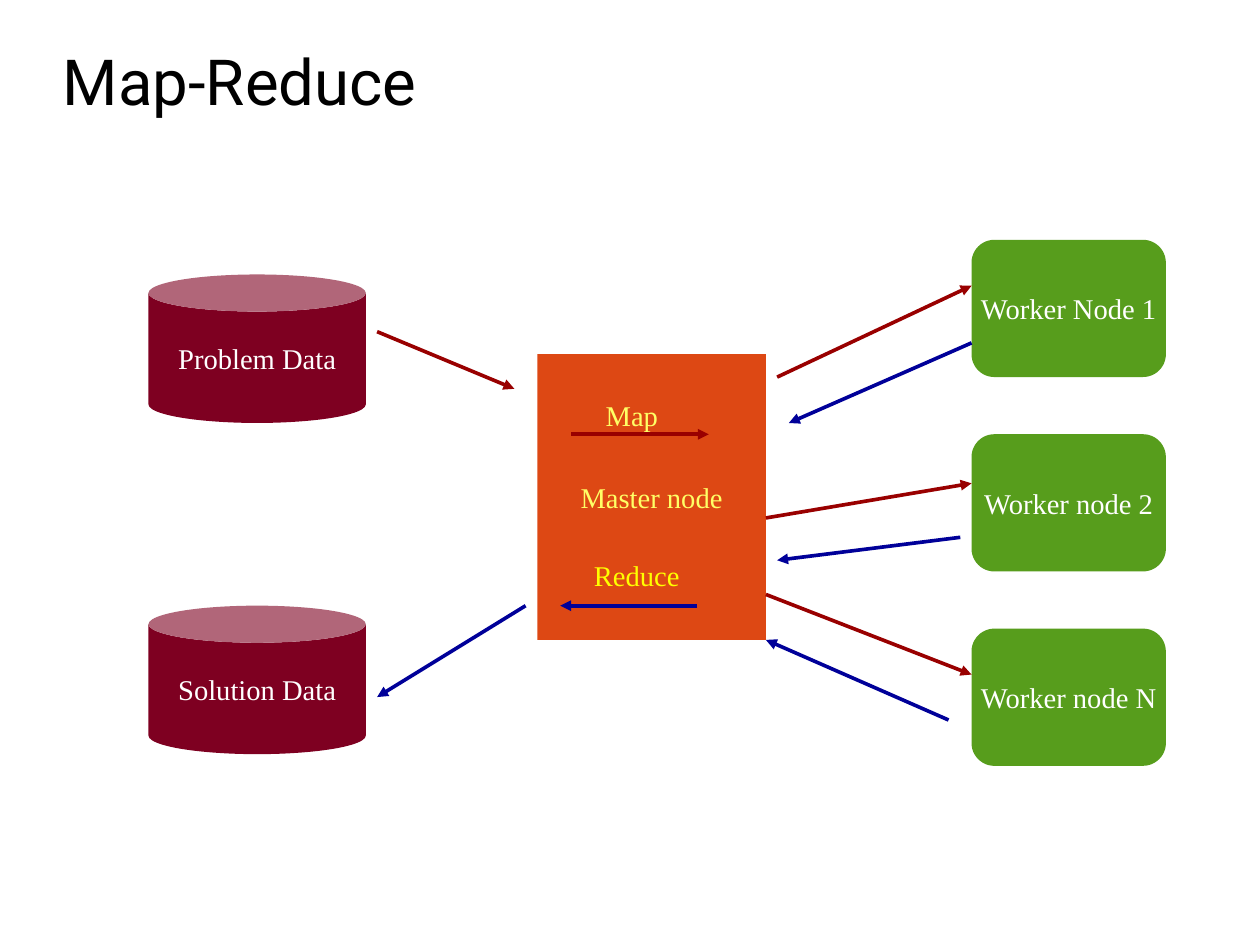
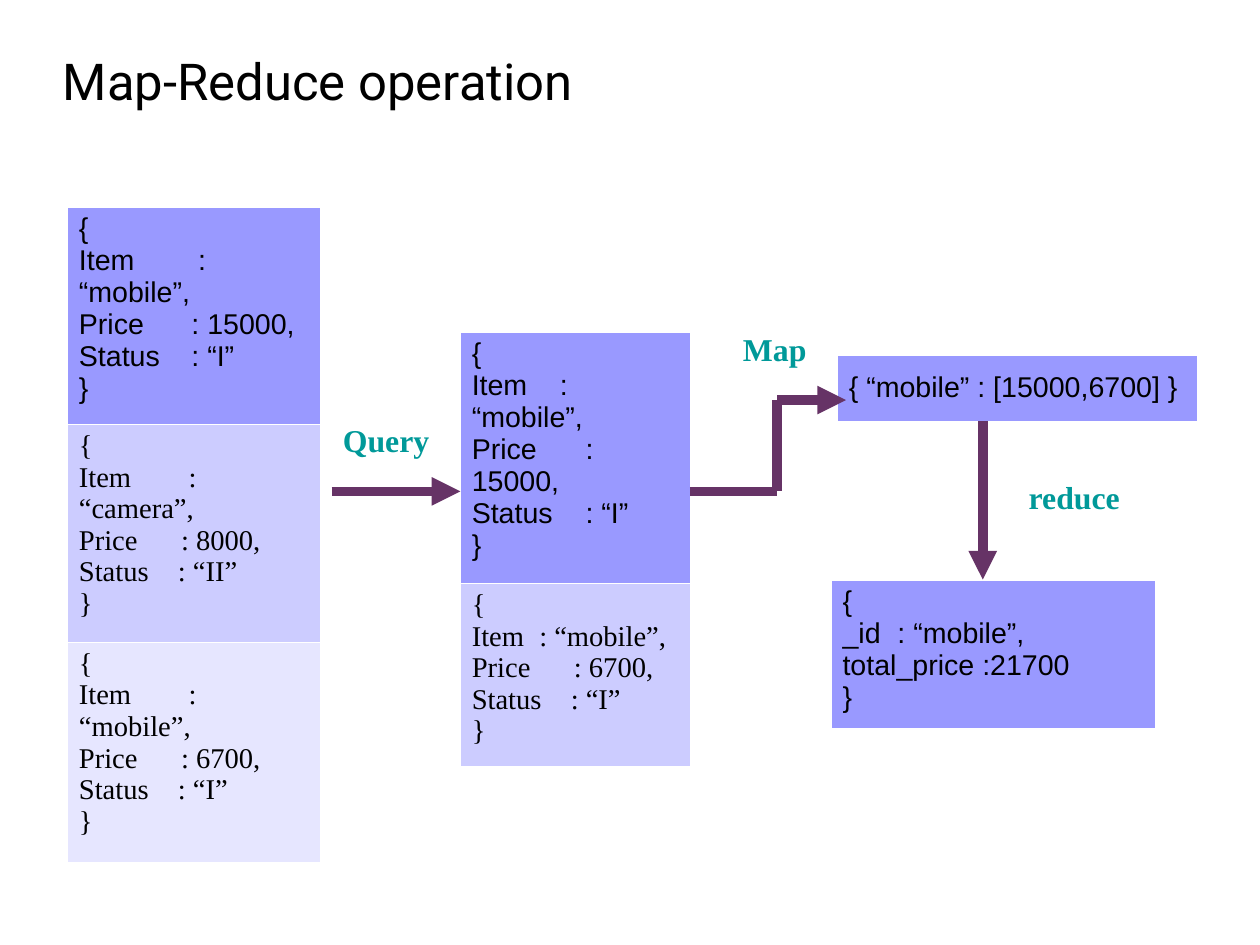
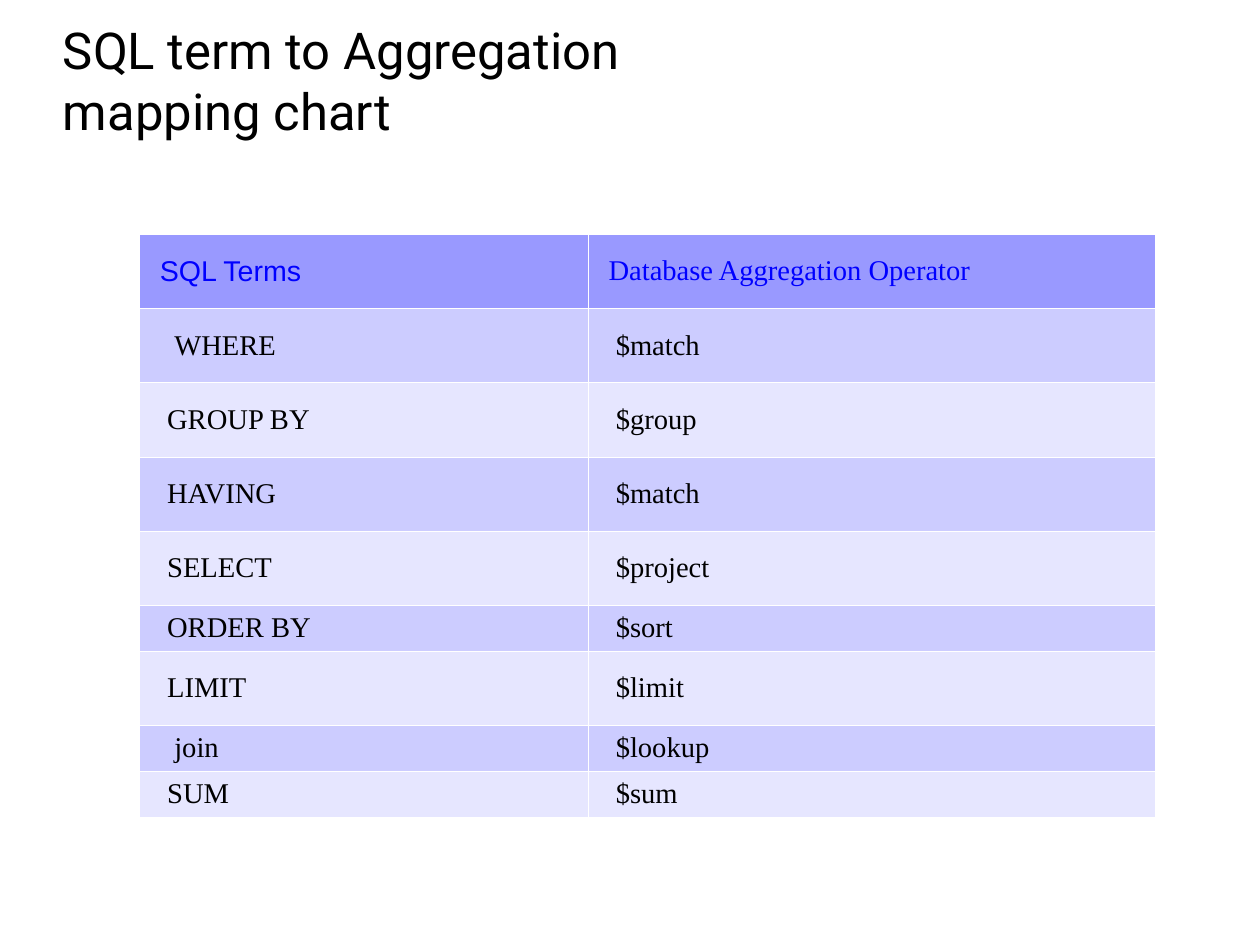
from lxml import etree
from pptx import Presentation
from pptx.dml.color import RGBColor
from pptx.enum import shapes, text
from pptx.oxml import ns
from pptx.util import Cm, Pt

BLACK = RGBColor(0x00, 0x00, 0x00)
WHITE = RGBColor(0xFF, 0xFF, 0xFF)
MAROON = RGBColor(0x7E, 0x00, 0x21)
ORANGE = RGBColor(0xDD, 0x48, 0x14)
GREEN = RGBColor(0x57, 0x9D, 0x1C)
PALE_YELLOW = RGBColor(0xFF, 0xFF, 0x66)
YELLOW = RGBColor(0xFF, 0xFF, 0x00)
RED = RGBColor(0x99, 0x00, 0x00)
NAVY = RGBColor(0x00, 0x00, 0x99)
PURPLE = RGBColor(0x66, 0x33, 0x66)
TEAL = RGBColor(0x00, 0x99, 0x99)
BLUE = RGBColor(0x00, 0x00, 0xFF)
HEADER = RGBColor(0x99, 0x99, 0xFF)
BAND_DARK = RGBColor(0xCC, 0xCC, 0xFF)
BAND_LIGHT = RGBColor(0xE6, 0xE6, 0xFF)

SANS, SERIF, TITLE_FONT = "Arial", "Times New Roman", "Roboto"
MIDDLE = text.MSO_ANCHOR.MIDDLE


def sub(parent, tag, **attrs):
    return etree.SubElement(parent, ns.qn(tag), attrs)


class Deck:
    """Holds the shared style and the slide being filled."""

    def __init__(self):
        self.prs = Presentation()
        self.prs.slide_width, self.prs.slide_height = Cm(28), Cm(21)
        self.s = None

    def new_slide(self, *title_lines, size=32):
        self.s = self.prs.slides.add_slide(self.prs.slide_layouts[6])
        tf = self.text_box(1.4, 0.03, 25.2, 3.5)
        tf.margin_left = tf.margin_right = tf.margin_top = tf.margin_bottom = 0
        tf.vertical_anchor = MIDDLE
        p = tf.paragraphs[0]
        for i, line in enumerate(title_lines):
            if i:
                p.add_line_break()
            self.run(p, line, size, TITLE_FONT, BLACK)

    def run(self, p, words, size, font, color, bold=False):
        r = p.add_run()
        r.text = words
        r.font.size, r.font.name, r.font.bold = Pt(size), font, bold
        r.font.color.rgb = color

    def text_box(self, x, y, w, h):
        tf = self.s.shapes.add_textbox(Cm(x), Cm(y), Cm(w), Cm(h)).text_frame
        tf.word_wrap = True
        return tf

    def label(self, words, x, y, w, color, size=18, bold=False):
        p = self.text_box(x, y, w, 1).paragraphs[0]
        self.run(p, words, size, SERIF, color, bold)

    def node(self, kind, words, x, y, w, h, fill, color=WHITE):
        sp = self.s.shapes.add_shape(kind, Cm(x), Cm(y), Cm(w), Cm(h))
        sp.shadow.inherit = False
        sp.fill.solid()
        sp.fill.fore_color.rgb = fill
        sp.line.fill.background()
        tf = sp.text_frame
        tf.word_wrap, tf.vertical_anchor = False, MIDDLE
        p = tf.paragraphs[0]
        p.alignment = text.PP_ALIGN.CENTER
        self.run(p, words, 18, SERIF, color)

    def line(self, start, end, color, width, arrow=True):
        c = self.s.shapes.add_connector(
            shapes.MSO_CONNECTOR.STRAIGHT, *map(Cm, start + end))
        c.line.color.rgb, c.line.width = color, Pt(width)
        if arrow:
            sub(c.line._get_or_add_ln(), "a:tailEnd", type="triangle")
        sub(c._element.spPr, "a:effectLst")

    def table(self, x, y, widths, heights):
        """Add an unbanded table with hairline white borders."""
        frame = self.s.shapes.add_table(
            len(heights), len(widths), Cm(x), Cm(y),
            Cm(sum(widths)), Cm(sum(heights)))
        tbl = frame.table
        tbl.first_row = tbl.horz_banding = False
        for col, width in zip(tbl.columns, widths):
            col.width = Cm(width)
        for row, height in zip(tbl.rows, heights):
            row.height = Cm(height)
        for cell in tbl.iter_cells():
            tc_pr = cell._tc.get_or_add_tcPr()
            for side in "LRTB":
                ln = sub(tc_pr, f"a:ln{side}", w="762")
                sub(sub(ln, "a:solidFill"), "a:srgbClr", val=str(WHITE))
        return tbl

    def fill_cell(self, cell, fill):
        cell.fill.solid()
        cell.fill.fore_color.rgb = fill
        return cell.text_frame

    def documents(self, x, y, width, heights, records, anchor=None):
        """Stack records in one column; a line is text or (key, tab in cm, value)."""
        tbl = self.table(x, y, [width], heights)
        fills = (HEADER, BAND_DARK, BAND_LIGHT)
        for i, (lines, fill) in enumerate(zip(records, fills)):
            cell = tbl.cell(i, 0)
            cell.vertical_anchor = anchor
            tf = self.fill_cell(cell, fill)
            for j, line in enumerate(lines):
                p = tf.add_paragraph() if j else tf.paragraphs[0]
                if isinstance(line, tuple):
                    key, stop, value = line
                    tabs = sub(p._p.get_or_add_pPr(), "a:tabLst")
                    sub(tabs, "a:tab", pos=str(int(Cm(stop))), algn="l")
                    line = f"{key}\t: {value}"
                self.run(p, line, 18, SERIF if i else SANS, BLACK)


def item(name, price, status, stops):
    values = (f"“{name}”,", f"{price},", f"“{status}”")
    return ["{", *zip(("Item", "Price", "Status"), stops, values), "}"]


def map_reduce(d):
    d.new_slide("Map-Reduce", size=40)
    kinds = shapes.MSO_SHAPE
    for words, y in (("Problem Data", 6.1), ("Solution Data", 13.46)):
        d.node(kinds.CAN, words, 3.3, y, 4.83, 3.3, MAROON)
    d.node(kinds.RECTANGLE, "Master node", 11.94, 7.87, 5.08, 6.35,
           ORANGE, PALE_YELLOW)
    for i, words in enumerate(("Worker Node 1", "Worker node 2", "Worker node N")):
        d.node(kinds.ROUNDED_RECTANGLE, words, 21.59, 5.33 + i * 4.32,
               4.32, 3.05, GREEN)
    d.label("Map", 13.21, 8.71, 2.54, PALE_YELLOW)
    d.label("Reduce", 12.95, 12.27, 3.81, YELLOW)

    map_arrows = [
        ((8.38, 7.37), (11.43, 8.64)),
        ((17.27, 8.38), (21.59, 6.35)),
        ((17.02, 11.51), (21.59, 10.74)),
        ((17.02, 13.21), (21.59, 14.99)),
        ((12.7, 9.65), (15.75, 9.65)),
    ]
    reduce_arrows = [
        ((11.68, 13.46), (8.38, 15.49)),
        ((21.59, 7.62), (17.53, 9.4)),
        ((21.34, 11.94), (17.27, 12.45)),
        ((21.08, 16), (17.02, 14.22)),
        ((15.49, 13.46), (12.45, 13.46)),
    ]
    for color, arrows in ((RED, map_arrows), (NAVY, reduce_arrows)):
        for start, end in arrows:
            d.line(start, end, color, 2.3)


def map_reduce_operation(d):
    d.new_slide("Map-Reduce operation")
    serif_stops = (2.44, 2.27, 2.2)
    d.documents(1.5, 4.6, 5.61, [4.82, 4.84, 4.89], [
        item("mobile", 15000, "I", (2.65, 2.5, 2.5)),
        item("camera", 8000, "II", serif_stops),
        item("mobile", 6700, "I", serif_stops),
    ])
    d.documents(10.23, 7.37, 5.1, [5.57, 4.05], [
        item("mobile", 15000, "I", (1.96, 2.53, 2.53)),
        item("mobile", 6700, "I", (1.5, 2.27, 2.2)),
    ])
    d.documents(18.47, 12.88, 7.19, [3.29], [
        ["{", ("_id", 1.22, "“mobile”,"), "total_price :21700", "}"],
    ])
    d.documents(18.61, 7.88, 8, [1.47],
                [["{ “mobile” : [15000,6700] }"]], MIDDLE)

    d.line((7.37, 10.92), (10.23, 10.92), PURPLE, 6)
    bend = [(15.33, 10.92), (17.27, 10.92), (17.27, 8.89), (18.8, 8.89)]
    for start, end in zip(bend, bend[1:]):
        d.line(start, end, PURPLE, 6, arrow=end == bend[-1])
    d.line((21.84, 9.35), (21.84, 12.88), PURPLE, 6)
    for words, x, y, w in (("Query", 7.37, 9.22, 2.8), ("Map", 16.26, 7.2, 2.03),
                           ("reduce", 22.61, 10.5, 3.05)):
        d.label(words, x, y, w, TEAL, size=20, bold=True)


def sql_mapping(d):
    d.new_slide("SQL term to Aggregation", "mapping chart")
    tall, short = 1.65, 1.01
    flush, one_step, two_steps = 0.2, 0.36, 0.52
    rows = [
        ("SQL Terms", "Database Aggregation Operator", tall, flush),
        ("WHERE", "$match", tall, two_steps),
        ("GROUP BY", "$group", tall, one_step),
        ("HAVING", "$match", tall, one_step),
        ("SELECT", "$project", tall, one_step),
        ("ORDER BY", "$sort", short, one_step),
        ("LIMIT", "$limit", tall, one_step),
        ("join", "$lookup", short, two_steps),
        ("SUM", "$sum", short, one_step),
    ]
    tbl = d.table(3.1, 5.2, [9.97, 12.6], [row[2] for row in rows])
    for i, (term, operator, _, term_indent) in enumerate(rows):
        fill = (BAND_DARK if i % 2 else BAND_LIGHT) if i else HEADER
        operator_indent = one_step if i else flush
        for j, (words, indent) in enumerate(
                ((term, term_indent), (operator, operator_indent))):
            cell = tbl.cell(i, j)
            cell.vertical_anchor = MIDDLE
            p = d.fill_cell(cell, fill).paragraphs[0]
            p._p.get_or_add_pPr().set("marL", str(int(Cm(indent))))
            d.run(p, words, 18, SERIF if i or j else SANS, BLACK if i else BLUE)


def main():
    d = Deck()
    map_reduce(d)
    map_reduce_operation(d)
    sql_mapping(d)
    d.prs.save("out.pptx")


if __name__ == "__main__":
    main()
